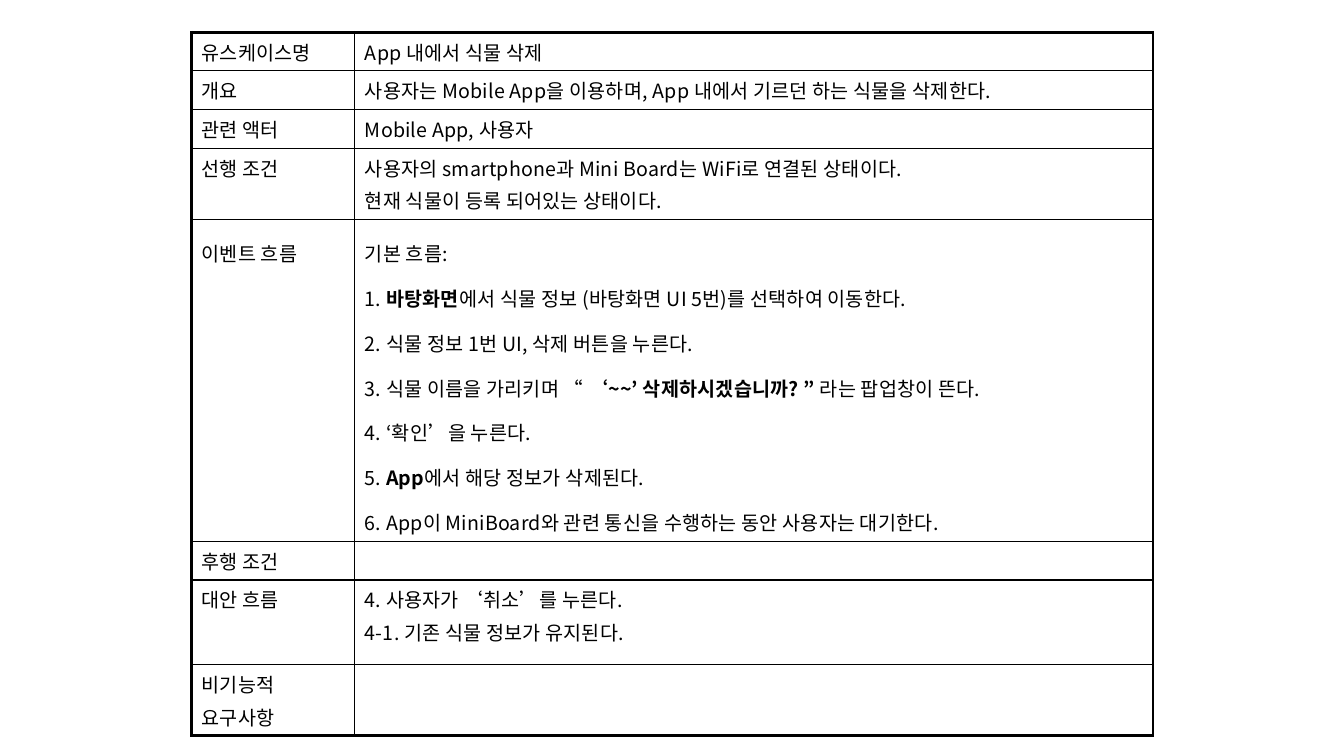
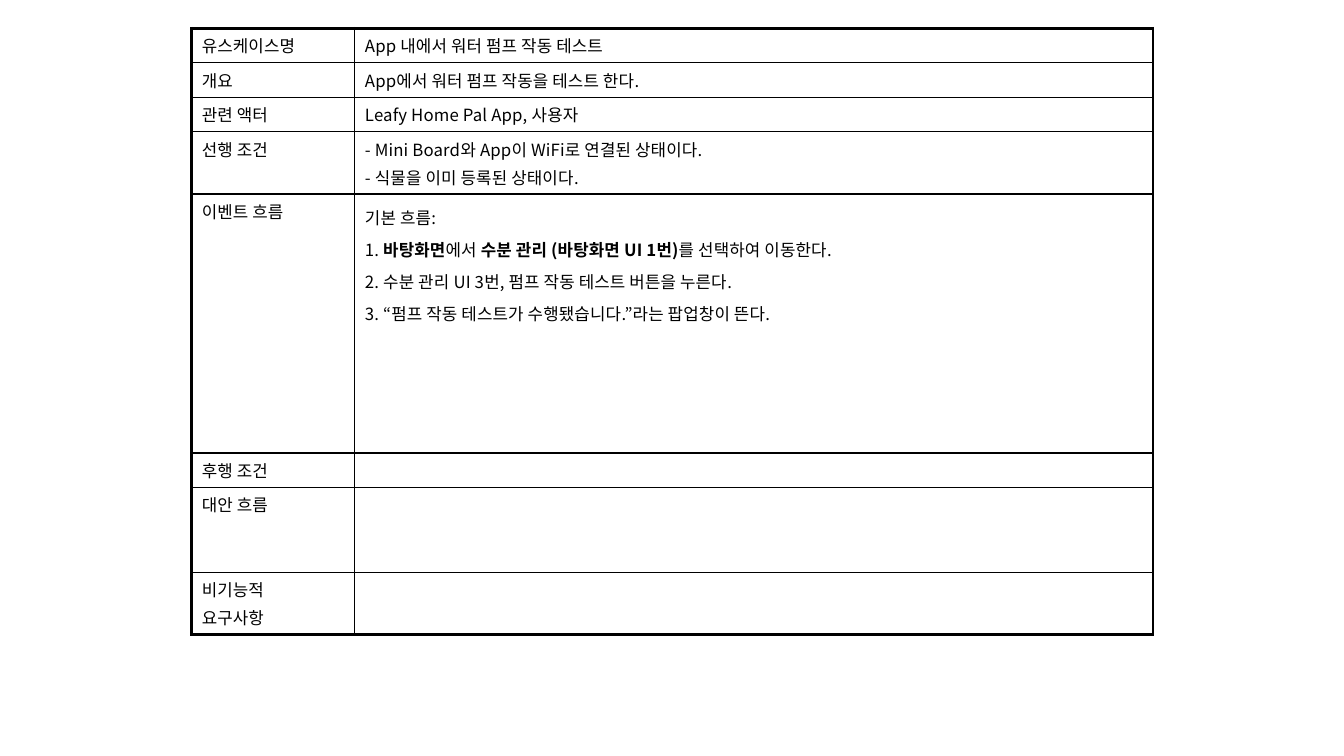
from lxml.etree import SubElement
from pptx import Presentation
from pptx.dml.color import RGBColor
from pptx.enum.text import PP_ALIGN
from pptx.oxml.ns import qn
from pptx.util import Pt

BLACK = RGBColor(0, 0, 0)
FONT = "Noto Sans CJK KR"
THIN, THICK = 1, 2.25
LEFT, COLS = 136.9, (116.6, 570)
ROWS = (23, 23, 23, 23, 185, 23, 60.5, 42)
FLOW = 4  # row of the event flow
LABELS = ("유스케이스명", "개요", "관련 액터", "선행 조건", "이벤트 흐름",
          "후행 조건", "대안 흐름", "비기능적\n요구사항")


def write(cell, text, size=14, gap=0.2, line=None, align=None):
    """Fill a cell; a newline starts a paragraph, asterisks mark bold."""
    frame = cell.text_frame
    for i, part in enumerate(text.split("\n")):
        para = frame.add_paragraph() if i else frame.paragraphs[0]
        para.space_before = Pt(round(size * gap, 2))
        para.line_spacing = line
        para.alignment = align
        if not part:  # keeps an empty row at the height of its text size
            SubElement(para._p, qn("a:endParaRPr"), sz=str(size * 100))
            continue
        for j, piece in enumerate(part.split("*")):
            if not piece:
                continue
            run = para.add_run()
            run.text = piece
            font = run.font
            font.size, font.name, font.bold = Pt(size), FONT, j % 2 == 1
            font.color.rgb = BLACK
            props = run._r.get_or_add_rPr()
            props.set("spc", "10")
            SubElement(props, qn("a:ea"), typeface=FONT)


def frame_cell(cell, **widths):
    """Draw the cell borders, then leave the cell unfilled."""
    props = cell._tc.get_or_add_tcPr()
    for side, width in widths.items():
        edge = SubElement(props, qn("a:ln" + side), w=str(Pt(width)))
        fill = SubElement(edge, qn("a:solidFill"))
        SubElement(fill, qn("a:srgbClr"), val=str(BLACK))
    cell.fill.background()


# Use cases: top, text size, flow line spacing, label line spacing, entries
CASES = (
    (23, 14, 1.5, 1.5, (
        "App 내에서 식물 삭제",
        "사용자는 Mobile App을 이용하며, App 내에서 기르던 하는 식물을 삭제한다.",
        "Mobile App, 사용자",
        "사용자의 smartphone과 Mini Board는 WiFi로 연결된 상태이다.\n"
        "현재 식물이 등록 되어있는 상태이다.",
        "기본 흐름:\n"
        "1. *바탕화면*에서 식물 정보 (바탕화면 UI 5번)를 선택하여 이동한다.\n"
        "2. 식물 정보 1번 UI, 삭제 버튼을 누른다.\n"
        "3. 식물 이름을 가리키며 “ *‘~~’ 삭제하시겠습니까? ” *라는 팝업창이 뜬다.\n"
        "4. ‘확인’을 누른다.\n"
        "5. *App*에서 해당 정보가 삭제된다.\n"
        "6. App이 MiniBoard와 관련 통신을 수행하는 동안 사용자는 대기한다.",
        "",
        "4. 사용자가 ‘취소’를 누른다.\n4-1. 기존 식물 정보가 유지된다.",
        "")),
    (20.2, 12, 1.25, None, (
        "App 내에서 워터 펌프 작동 테스트",
        "App에서 워터 펌프 작동을 테스트 한다.",
        "Leafy Home Pal App, 사용자",
        "- Mini Board와 App이 WiFi로 연결된 상태이다.\n"
        "- 식물을 이미 등록된 상태이다.",
        "기본 흐름:\n"
        "1. *바탕화면*에서 *수분 관리 (바탕화면 UI 1번)*를 선택하여 이동한다.\n"
        "2. 수분 관리 UI 3번, 펌프 작동 테스트 버튼을 누른다.\n"
        "3. “펌프 작동 테스트가 수행됐습니다.”라는 팝업창이 뜬다.",
        "", "", "")),
)

deck = Presentation()
deck.slide_width, deck.slide_height = Pt(960), Pt(540)

for top, size, flow, head, entries in CASES:
    slide = deck.slides.add_slide(deck.slide_layouts[6])
    table = slide.shapes.add_table(
        len(ROWS), len(COLS), Pt(LEFT), Pt(top),
        Pt(sum(COLS)), Pt(sum(ROWS))).table
    table.first_row = table.horz_banding = False
    for col, width in zip(table.columns, COLS):
        col.width = Pt(width)

    # Rows: label on the left, entry on the right
    for i, (label, entry) in enumerate(zip(LABELS, entries)):
        table.rows[i].height = Pt(ROWS[i])
        name, body = table.cell(i, 0), table.cell(i, 1)
        if i == FLOW:
            write(name, label, size=size, line=head)
            write(body, entry, size=size, gap=0.1, line=flow,
                  align=PP_ALIGN.JUSTIFY)
        else:
            write(name, label, size=size)
            write(body, entry, size=size)
        upper = THIN if i else THICK
        lower = THICK if i == len(ROWS) - 1 else THIN
        frame_cell(name, L=THICK, R=THIN, T=upper, B=lower)
        frame_cell(body, L=THIN, R=THICK, T=upper, B=lower)

deck.save("out.pptx")
